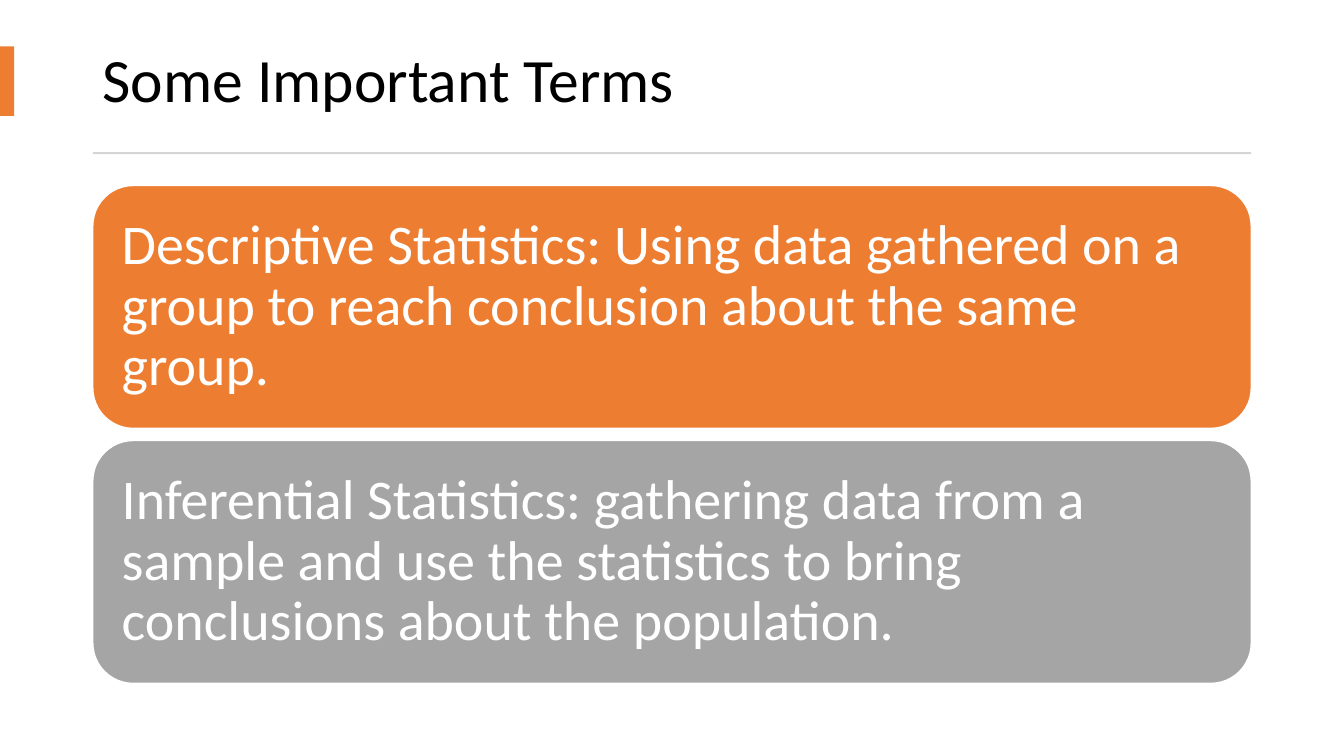
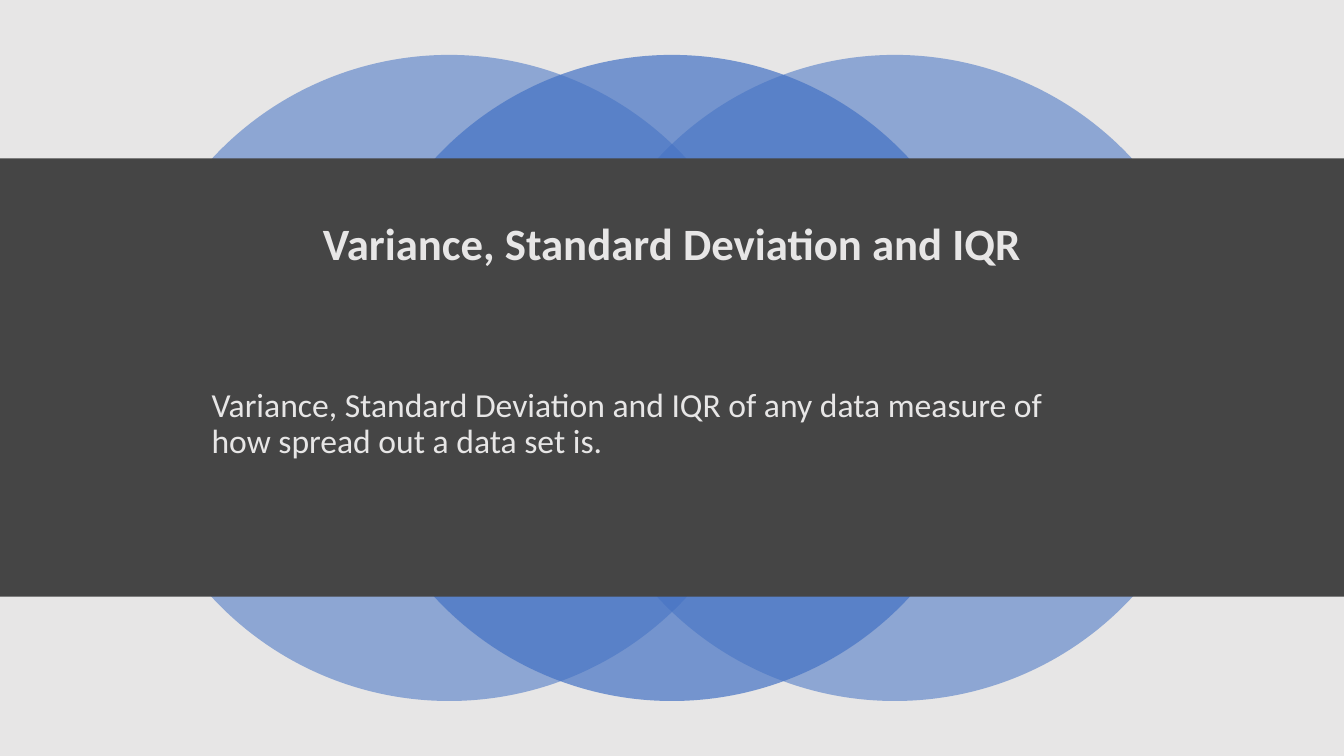
from lxml.etree import SubElement
from pptx import Presentation
from pptx.dml.color import RGBColor as RGB
from pptx.enum.shapes import MSO_SHAPE as SHAPE
from pptx.enum.text import MSO_ANCHOR as ANCHOR, PP_ALIGN as ALIGN
from pptx.oxml.ns import qn
from pptx.util import Inches, Pt

# Shared look
W, H = 13.33, 7.5
MARGIN = 0.92
CONTENT_W = W - 2 * MARGIN
FONT = "Calibri"
COLORS = {
    "white": "FFFFFF", "black": "000000", "orange": "ED7D31", "gray": "A5A5A5",
    "rule": "D5D5D5", "blue": "4472C4", "light": "E7E6E6", "dark": "454545",
}


def rgb(name):
    return RGB.from_string(COLORS[name])


def add_slide(prs, background):
    s = prs.slides.add_slide(prs.slide_layouts[6])
    s.background.fill.solid()
    s.background.fill.fore_color.rgb = rgb(background)
    return s


def add_block(s, kind, box, fill, line=None, opacity=100):
    """Filled preset shape, optionally outlined or see-through."""
    sp = s.shapes.add_shape(kind, *map(Inches, box))
    sp.shadow.inherit = False
    sp.fill.solid()
    sp.fill.fore_color.rgb = rgb(fill)
    if line:
        sp.line.color.rgb = rgb(line)
        sp.line.width = Pt(1)
    else:
        sp.line.fill.background()
    if opacity < 100:
        color = sp.fill._xPr.find(qn("a:solidFill"))[0]
        SubElement(color, qn("a:alpha"), val=str(opacity * 1000))
    return sp


def write(sp, text, color, size, bold=False, align=ALIGN.LEFT,
          anchor=ANCHOR.MIDDLE, inset=None):
    tf = sp.text_frame
    frame = {"word_wrap": True, "vertical_anchor": anchor}
    if inset is not None:
        sides = ("left", "top", "right", "bottom")
        frame.update({f"margin_{side}": Inches(inset) for side in sides})
    p = tf.paragraphs[0]
    r = p.add_run()
    r.text = text
    formats = (
        (tf, frame),
        (p, {"alignment": align, "line_spacing": 0.9}),
        (r.font, {"name": FONT, "size": Pt(size), "bold": bold}),
    )
    for target, values in formats:
        for name, value in values.items():
            setattr(target, name, value)
    r.font.color.rgb = rgb(color)


def add_text(s, box, text, color, size, **options):
    write(s.shapes.add_textbox(*map(Inches, box)), text, color, size, **options)


def add_title(s, top, height, text, color, size, **options):
    add_text(s, (MARGIN, top, CONTENT_W, height), text, color, size, **options)


def add_cards(s, cards, top=1.84, height=2.41, gap=0.12):
    """Full-width rounded cards stacked in one column."""
    for row, (fill, text) in enumerate(cards):
        box = (MARGIN, top + row * (height + gap), CONTENT_W, height)
        sp = add_block(s, SHAPE.ROUNDED_RECTANGLE, box, fill, line="white")
        write(sp, text, "white", 40, inset=0.17)


def add_circles(s, size=6.41, pitch=2.21):
    """Overlapping circles centred on the slide, the middle one in front."""
    for step, opacity in ((-1, 55), (1, 55), (0, 70)):
        box = ((W - size) / 2 + step * pitch, (H - size) / 2, size, size)
        add_block(s, SHAPE.OVAL, box, "blue", opacity=opacity)


def terms_slide(prs):
    s = add_slide(prs, "white")
    # Title with accent tab and rule
    add_title(s, 0.27, 1.1, "Some Important Terms", "black", 44)
    add_block(s, SHAPE.RECTANGLE, (0, 0.46, 0.14, 0.69), "orange")
    add_block(s, SHAPE.RECTANGLE, (MARGIN, 1.51, CONTENT_W, 0.02), "rule")
    # Definitions
    add_cards(s, (
        ("orange", "Descriptive Statistics: Using data gathered on a group "
                   "to reach conclusion about the same group."),
        ("gray", "Inferential Statistics: gathering data from a sample and use "
                 "the statistics to bring conclusions about the population."),
    ))


def spread_slide(prs):
    s = add_slide(prs, "light")
    # Circles behind a full-width band
    add_circles(s)
    add_block(s, SHAPE.RECTANGLE, (0, 1.57, W, 4.35), "dark")
    # Title and body
    add_title(s, 1.93, 1.02, "Variance, Standard Deviation and IQR", "light", 32,
              bold=True, align=ALIGN.CENTER)
    add_text(s, (2, 3.8, 8.73, 1.8),
             "Variance, Standard Deviation and IQR of any data measure of "
             "how spread out a data set is.",
             "light", 24, anchor=ANCHOR.TOP)


def main():
    prs = Presentation()
    prs.slide_width, prs.slide_height = Inches(W), Inches(H)
    terms_slide(prs)
    spread_slide(prs)
    prs.save("out.pptx")


if __name__ == "__main__":
    main()
